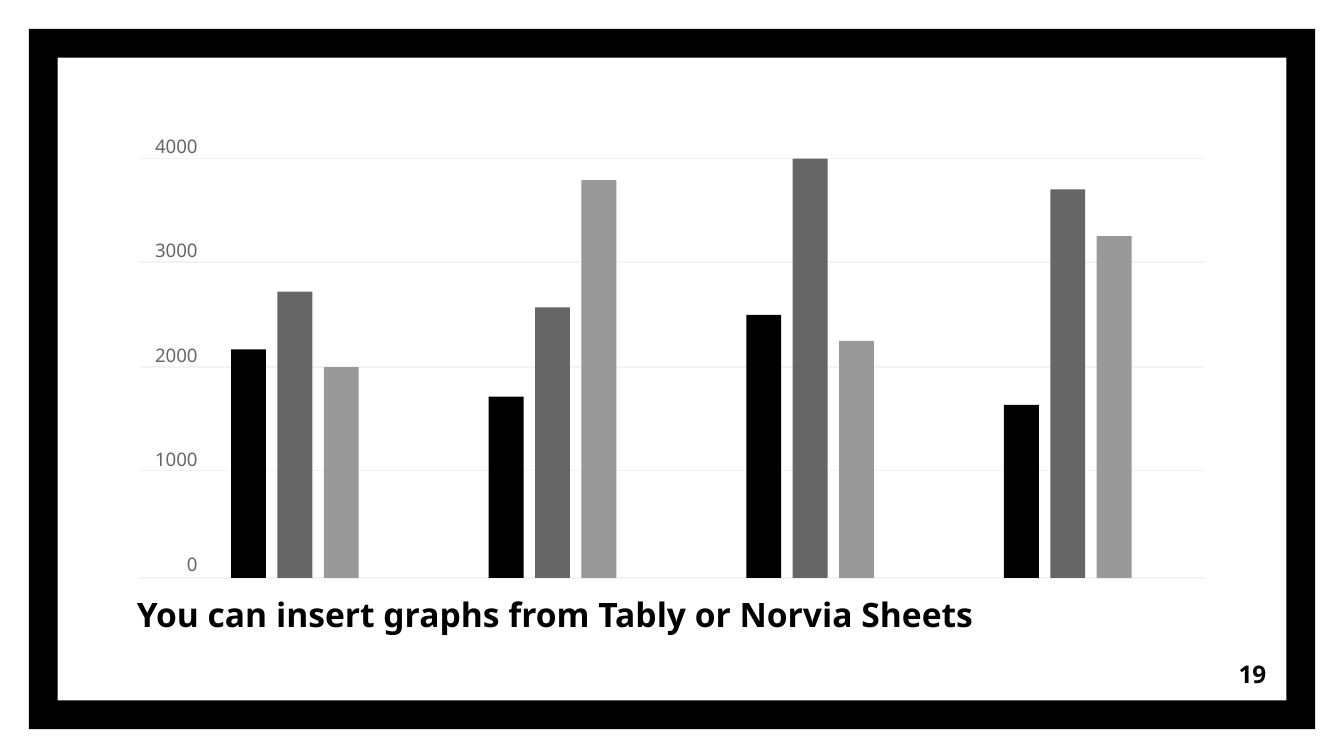
from pptx import Presentation
from pptx.dml.color import RGBColor
from pptx.enum.shapes import MSO_CONNECTOR, MSO_SHAPE
from pptx.enum.text import MSO_ANCHOR, PP_ALIGN
from pptx.oxml.ns import qn
from pptx.util import Inches, Pt
from lxml.etree import SubElement

BLACK = RGBColor(0x00, 0x00, 0x00)
DARK_GRAY = RGBColor(0x66, 0x66, 0x66)
MID_GRAY = RGBColor(0x99, 0x99, 0x99)
GRID_GRAY = RGBColor(0xF3, 0xF3, 0xF3)
WHITE = RGBColor(0xFF, 0xFF, 0xFF)
FONT = "Noto Sans"

CAPTION = "You can insert graphs from Tably or Norvia Sheets"
PAGE_NUMBER = "19"
AXIS_LABELS = ["4000", "3000", "2000", "1000", "0"]
GRID_TOPS = [1.18, 1.95, 2.73, 3.5, 4.3]
SERIES_COLORS = [BLACK, DARK_GRAY, MID_GRAY]
GROUPS = [
    (2180, 2730, 2010),
    (1730, 2580, 3795),
    (2510, 4000, 2260),
    (1650, 3705, 3260),
]

SLIDE_WIDTH = 10
SLIDE_HEIGHT = SLIDE_WIDTH * 9 / 16
BORDER_WIDTH, BORDER_HEIGHT = 9.57, 5.21
BORDER_MARGIN = (SLIDE_WIDTH - BORDER_WIDTH) / 2
AXIS_MAX = 4000
GRID_LEFT, GRID_RIGHT = 1.04, 8.96
PLOT_TOP, BASELINE = GRID_TOPS[0], GRID_TOPS[-1]
FIRST_BAR, BAR_WIDTH = 1.72, 0.26
BAR_STEP = 0.69 / 2
GROUP_STEP = 5.75 / 3

prs = Presentation()
prs.slide_width, prs.slide_height = Inches(SLIDE_WIDTH), Inches(SLIDE_HEIGHT)
slide = prs.slides.add_slide(prs.slide_layouts[6])
slide.background.fill.solid()
slide.background.fill.fore_color.rgb = WHITE


def add_filled(preset, left, top, width, height, color):
    shape = slide.shapes.add_shape(
        preset, Inches(left), Inches(top), Inches(width), Inches(height))
    shape.shadow.inherit = False
    shape.fill.solid()
    shape.fill.fore_color.rgb = color
    shape.line.fill.background()
    return shape


def add_text_frame(left, top, width, height, inset):
    box = slide.shapes.add_textbox(
        Inches(left), Inches(top), Inches(width), Inches(height))
    frame = box.text_frame
    frame.word_wrap = True
    frame.margin_left = frame.margin_right = Inches(inset)
    frame.margin_top = frame.margin_bottom = Inches(inset)
    return frame


def add_run(paragraph, text, size, color, bold=False):
    run = paragraph.add_run()
    run.text = text
    run.font.name = FONT
    run.font.size = Pt(size)
    run.font.bold = bold
    run.font.color.rgb = color


border = add_filled(MSO_SHAPE.FRAME, BORDER_MARGIN, BORDER_MARGIN,
                    BORDER_WIDTH, BORDER_HEIGHT, BLACK)
border.adjustments[0] = 0.041

caption = add_text_frame(0.92, 4.32, 8.16, 0.57, 0.1).paragraphs[0]
caption.space_before = Pt(3.6)
add_run(caption, CAPTION, 18, BLACK, bold=True)

number_frame = add_text_frame(8.92, 4.8, 0.6, 0.43, 0.1)
number_frame.vertical_anchor = MSO_ANCHOR.MIDDLE
number_frame.paragraphs[0].alignment = PP_ALIGN.RIGHT
add_run(number_frame.paragraphs[0], PAGE_NUMBER, 13, BLACK, bold=True)

for top in GRID_TOPS:
    grid_line = slide.shapes.add_connector(
        MSO_CONNECTOR.STRAIGHT, Inches(GRID_LEFT), Inches(top),
        Inches(GRID_RIGHT), Inches(top))
    grid_line.line.color.rgb = GRID_GRAY
    grid_line.line.width = Pt(0.75)
    SubElement(grid_line._element.spPr, qn("a:effectLst"))

axis_frame = add_text_frame(GRID_LEFT, 1, 0.43, 3.31, 0)
for i, label in enumerate(AXIS_LABELS):
    paragraph = axis_frame.add_paragraph() if i else axis_frame.paragraphs[0]
    paragraph.alignment = PP_ALIGN.RIGHT
    paragraph.space_before = Pt(44 if i else 0)
    add_run(paragraph, label, 10, DARK_GRAY)

for g, values in enumerate(GROUPS):
    for s, (value, color) in enumerate(zip(values, SERIES_COLORS)):
        height = (BASELINE - PLOT_TOP) * value / AXIS_MAX
        add_filled(MSO_SHAPE.RECTANGLE, FIRST_BAR + g * GROUP_STEP + s * BAR_STEP,
                   BASELINE - height, BAR_WIDTH, height, color)

prs.save("out.pptx")
